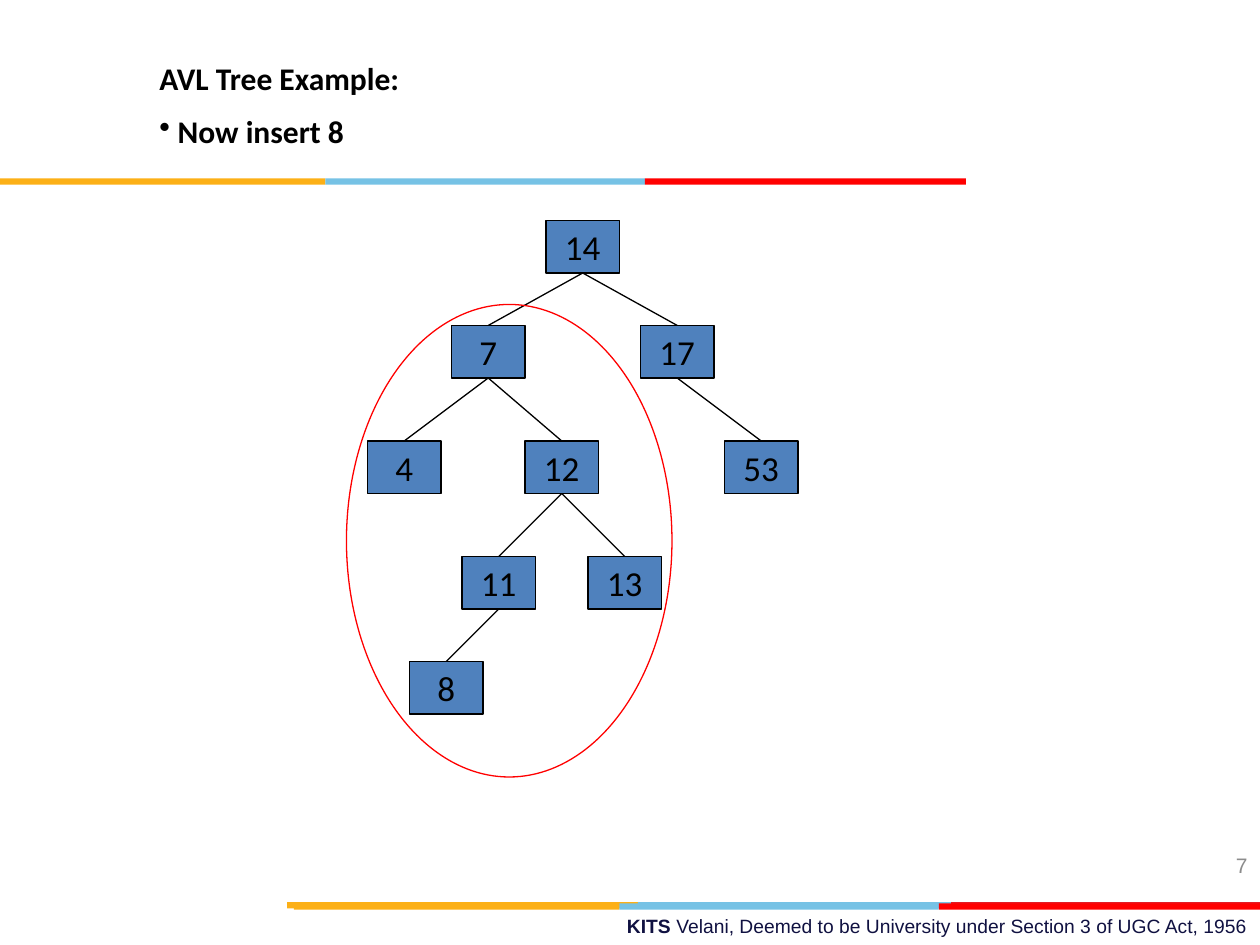
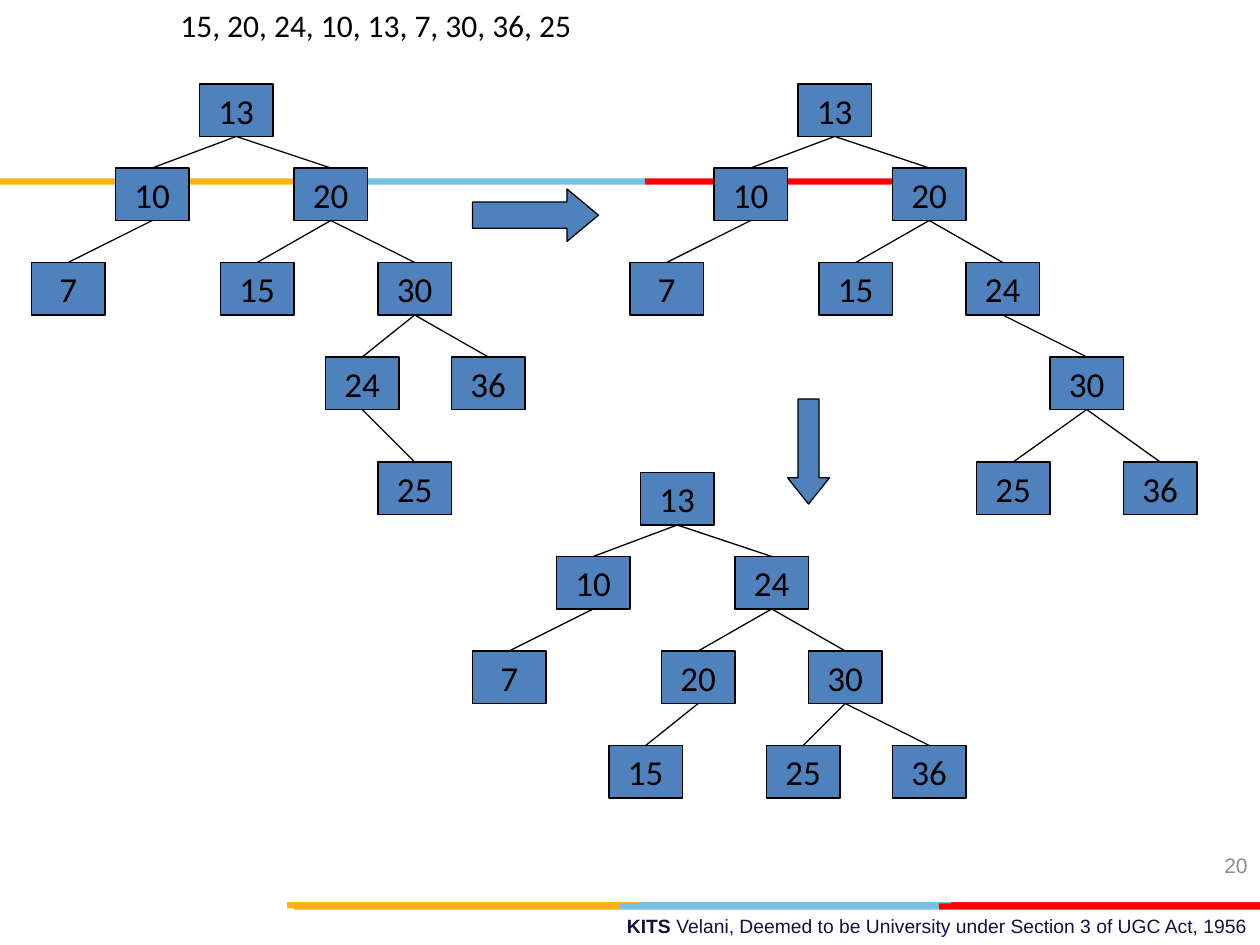
from dataclasses import dataclass

from lxml.etree import SubElement
from pptx import Presentation
from pptx.dml.color import RGBColor
from pptx.enum.shapes import MSO_CONNECTOR, MSO_SHAPE
from pptx.enum.text import MSO_ANCHOR, PP_ALIGN
from pptx.oxml.ns import qn
from pptx.util import Pt


@dataclass(frozen=True)
class Theme:
    black: str = "000000"
    node: str = "4F81BD"
    gold: str = "FCB017"
    sky: str = "76C2E5"
    red: str = "FF0000"
    crimson: str = "E31C24"
    navy: str = "101141"
    grey: str = "8C8C8C"
    body_font: str = "Calibri"
    footer_font: str = "Arial"
    heading_size: int = 18
    node_size: int = 20
    number_size: int = 12
    footer_size: int = 11
    line_width: float = 0.75


NODE_WIDTH, NODE_HEIGHT = 42, 30
BAND_HEIGHT = 3.6

# A node is (key, horizontal shift from its parent, *children).
AVL_WITH_8 = (14, 0,
              (7, -54,
               (4, -48),
               (12, 42, (11, -36, (8, -30)), (13, 36))),
              (17, 54, (53, 48)))
LEFT_BRANCH = (10, -48, (7, -48))
UNBALANCED = (13, 0, LEFT_BRANCH,
              (20, 54,
               (15, -42),
               (30, 48, (24, -30, (25, 30)), (36, 42))))
ROTATED_ONCE = (13, 0, LEFT_BRANCH,
                (20, 54,
                 (15, -42),
                 (24, 42, (30, 48, (25, -42), (36, 42)))))
BALANCED = (13, 0, LEFT_BRANCH,
            (24, 54,
             (20, -42, (15, -30)),
             (30, 42, (25, -24), (36, 48))))


def rgb(value):
    return RGBColor.from_string(value)


def write(paragraph, text, *, size, font, color, bold=False,
          align=PP_ALIGN.LEFT, before=0, bullet=None):
    paragraph.alignment = align
    paragraph.space_before = Pt(before)
    if bullet:
        properties = paragraph._p.get_or_add_pPr()
        properties.set("marL", "0")
        properties.set("indent", "0")
        SubElement(properties, qn("a:buChar")).set("char", bullet)
    run = paragraph.add_run()
    run.text = text
    run.font.size = Pt(size)
    run.font.name = font
    run.font.bold = bold
    run.font.color.rgb = rgb(color)


class Deck:
    def __init__(self, theme):
        self.theme = theme
        self.presentation = Presentation()
        self.presentation.slide_width = Pt(720)
        self.presentation.slide_height = Pt(540)
        self.slide = None

    def new_slide(self, number):
        t = self.theme
        blank = self.presentation.slide_layouts[6]
        self.slide = self.presentation.slides.add_slide(blank)
        footer = self.text_box(258, 519, 462, 21).paragraphs[0]
        style = dict(size=t.footer_size, font=t.footer_font, color=t.navy,
                     align=PP_ALIGN.RIGHT)
        write(footer, "KITS ", bold=True, **style)
        write(footer, "Velani, Deemed to be University under Section 3 "
              "of UGC Act, 1956", **style)
        self.band(515.5, (164, 364.5, 543.5, 720), t.crimson)
        self.band(516.25, (168, 354, 536.5, 720), t.red)
        self.band(102, (0, 186, 368.5, 552), t.red)
        page = self.text_box(552, 480, 168, 29, MSO_ANCHOR.MIDDLE)
        write(page.paragraphs[0], str(number), size=t.number_size,
              font=t.footer_font, color=t.grey, align=PP_ALIGN.RIGHT)

    def text_box(self, left, top, width, height, anchor=MSO_ANCHOR.TOP):
        box = self.slide.shapes.add_textbox(
            Pt(left), Pt(top), Pt(width), Pt(height))
        frame = box.text_frame
        frame.word_wrap = True
        frame.vertical_anchor = anchor
        return frame

    def heading(self, left, top, width, height, *lines, bold=False):
        """Lines after the first are bulleted."""
        t = self.theme
        frame = self.text_box(left, top, width, height)
        for i, line in enumerate(lines):
            paragraph = frame.add_paragraph() if i else frame.paragraphs[0]
            write(paragraph, line, size=t.heading_size, font=t.body_font,
                  color=t.black, bold=bold, before=9 if i else 0,
                  bullet="•" if i else None)

    def shape(self, preset, left, top, width, height, fill=None, line=None,
              adjustments=()):
        shape = self.slide.shapes.add_shape(
            preset, Pt(left), Pt(top), Pt(width), Pt(height))
        shape.shadow.inherit = False
        for i, value in enumerate(adjustments):
            shape.adjustments[i] = value
        if fill:
            shape.fill.solid()
            shape.fill.fore_color.rgb = rgb(fill)
        else:
            shape.fill.background()
        if line:
            shape.line.color.rgb = rgb(line)
            shape.line.width = Pt(self.theme.line_width)
        else:
            shape.line.fill.background()
        return shape

    def band(self, top, edges, last_color):
        colors = (self.theme.gold, self.theme.sky, last_color)
        for start, end, color in zip(edges, edges[1:], colors):
            self.shape(MSO_SHAPE.RECTANGLE, start, top, end - start,
                       BAND_HEIGHT, fill=color)

    def arrow(self, preset, left, top, width, height, head):
        self.shape(preset, left, top, width, height, fill=self.theme.node,
                   line=self.theme.black, adjustments=(0.5, head))

    def node(self, key, center, top):
        t = self.theme
        box = self.shape(MSO_SHAPE.RECTANGLE, center - NODE_WIDTH / 2, top,
                         NODE_WIDTH, NODE_HEIGHT, fill=t.node, line=t.black)
        frame = box.text_frame
        frame.word_wrap = False
        frame.vertical_anchor = MSO_ANCHOR.MIDDLE
        write(frame.paragraphs[0], str(key), size=t.node_size,
              font=t.body_font, color=t.black, align=PP_ALIGN.CENTER)

    def edge(self, x1, y1, x2, y2):
        edge = self.slide.shapes.add_connector(
            MSO_CONNECTOR.STRAIGHT, Pt(x1), Pt(y1), Pt(x2), Pt(y2))
        edge.line.color.rgb = rgb(self.theme.black)
        edge.line.width = Pt(self.theme.line_width)
        SubElement(edge._element.spPr, qn("a:effectLst"))

    def tree(self, root, center, tops):
        """Draw root at center; tops gives the top of each level."""
        key, _, *children = root
        self.node(key, center, tops[0])
        for child in children:
            child_center = center + child[1]
            self.edge(center, tops[0] + NODE_HEIGHT, child_center, tops[1])
            self.tree(child, child_center, tops[1:])


def main():
    theme = Theme()
    deck = Deck(theme)

    deck.new_slide(7)
    deck.heading(84, 30, 564, 61, "AVL Tree Example:", " Now insert 8",
                 bold=True)
    deck.tree(AVL_WITH_8, 333, (126, 186, 252, 318, 378))
    deck.shape(MSO_SHAPE.OVAL, 198, 174, 186, 270, line=theme.red)

    deck.new_slide(20)
    deck.heading(96, 0, 552, 29, "15, 20, 24, 10, 13, 7, 30, 36, 25")
    upper_levels = (48, 96, 150, 204, 264)
    deck.tree(UNBALANCED, 135, upper_levels)
    deck.arrow(MSO_SHAPE.RIGHT_ARROW, 270, 108, 72, 30, head=0.6)
    deck.tree(ROTATED_ONCE, 477, upper_levels)
    deck.arrow(MSO_SHAPE.DOWN_ARROW, 450, 228, 24, 60, head=0.625)
    deck.tree(BALANCED, 387, (270, 318, 372, 426))

    deck.presentation.save("out.pptx")


if __name__ == "__main__":
    main()
